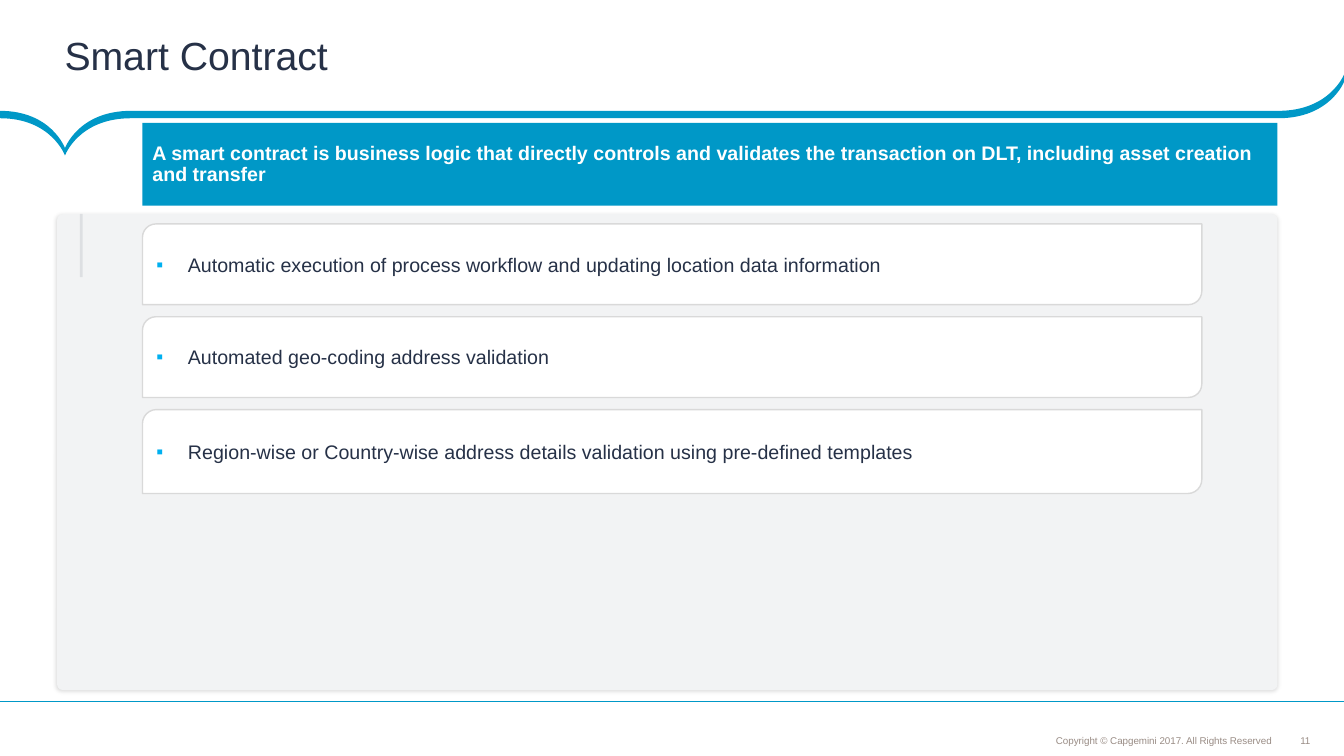
from lxml import etree
from pptx import Presentation
from pptx.dml.color import RGBColor
from pptx.enum.shapes import MSO_CONNECTOR, MSO_SHAPE
from pptx.enum.text import MSO_ANCHOR, PP_ALIGN
from pptx.oxml.ns import qn
from pptx.util import Inches, Pt

RECT = MSO_SHAPE.RECTANGLE
ROUND = MSO_SHAPE.ROUNDED_RECTANGLE
DIAG = MSO_SHAPE.ROUND_2_DIAG_RECTANGLE
LINE = MSO_CONNECTOR.STRAIGHT
MIDDLE, BOTTOM = MSO_ANCHOR.MIDDLE, MSO_ANCHOR.BOTTOM
LEFT, CENTER, RIGHT = PP_ALIGN.LEFT, PP_ALIGN.CENTER, PP_ALIGN.RIGHT

BLUE = RGBColor(0x00, 0x98, 0xC7)
NAVY = RGBColor(0x26, 0x31, 0x47)
WHITE = RGBColor(0xFF, 0xFF, 0xFF)
PALE = RGBColor(0xF2, 0xF3, 0xF4)
EDGE = RGBColor(0xD9, 0xD9, 0xD9)
TAUPE = RGBColor(0x99, 0x8C, 0x85)
CYAN = RGBColor(0x00, 0xB0, 0xF0)

deck = Presentation()
deck.slide_width, deck.slide_height = Inches(13.33), Inches(7.5)
COL, ROW = deck.slide_width / 100, deck.slide_height / 100
INDENT = Pt(22.5)
slide = deck.slides.add_slide(deck.slide_layouts[5])
shapes = slide.shapes
tree = shapes._spTree


def grid(*cells):
    return [int(n * (ROW if i % 2 else COL)) for i, n in enumerate(cells)]


def write(frame, text, size, color, align=LEFT, anchor=MIDDLE, bold=False):
    frame.word_wrap = True
    frame.vertical_anchor = anchor
    para = frame.paragraphs[0]
    para.alignment = align
    run = para.add_run()
    run.text = text
    font = run.font
    font.name, font.size, font.bold = "Arial", Pt(size), bold
    font.color.rgb = color
    return para


notes = [
    ("11", (96.67, 97.2, 0.9, 1.6), CENTER, MIDDLE, 0),
    ("Copyright © Capgemini 2017. All Rights Reserved",
     (68.06, 96.6, 26.86, 2.67), RIGHT, BOTTOM, 0.04),
]
for text, place, align, anchor, inset in notes:
    frame = shapes.add_textbox(*grid(*place)).text_frame
    frame.margin_left = frame.margin_right = Inches(inset)
    frame.margin_top = frame.margin_bottom = Inches(inset)
    para = write(frame, text, 7, TAUPE, align, anchor)
    para.line_spacing = 0.9 if inset else 1.0
    frame.word_wrap = inset > 0

DIP, THICK = 4.84, 0.98
upper = [
    (0, 14.67), (3.83, 14.67), (DIP, 19.6), (DIP, 19.6),
    (DIP, 19.6), (5.85, 14.67), (9.75, 14.67),
    (9.75, 14.67), (95.12, 14.67), (95.12, 14.67),
    (98.95, 14.67), (100, 9.87), (100, 9.87),
]
lower = [(x, y + THICK) for x, y in reversed(upper)]
points = [grid(*p) for p in upper + lower[:1] * 3 + lower[1:]]
trace = shapes.build_freeform(*points[0])
trace.add_line_segments(points[1:], close=True)
wave = trace.convert_to_shape()
knots = list(wave._element.iter(qn("a:lnTo")))
for i in range(0, len(knots), 3):
    bend = etree.Element(qn("a:cubicBezTo"))
    knots[i].addprevious(bend)
    for knot in knots[i:i + 3]:
        bend.append(knot[0])
        knot.getparent().remove(knot)
wave.shadow.inherit = False
wave.fill.solid()
wave.fill.fore_color.rgb = BLUE
wave.line.fill.background()

rules = []
for ends, color, width, alpha in [
    ((100, 92.8, 0, 92.8), BLUE, 0.75, 100),
    ((6.04, 28.3, 6.04, 36.67), NAVY, 2, 10),
]:
    rule = shapes.add_connector(LINE, *grid(*ends))
    rule.line.color.rgb = color
    rule.line.width = Pt(width)
    props = rule._element.spPr
    if alpha < 100:
        tint = props.find(".//" + qn("a:srgbClr"))
        etree.SubElement(tint, qn("a:alpha"), val=str(alpha * 1000))
    etree.SubElement(props, qn("a:effectLst"))
    rules.append(rule)
foot, tick = rules

title = shapes.title
title.left, title.top, title.width, title.height = grid(0, 0, 100, 14.5)
frame = title.text_frame
frame.margin_left, frame.margin_right = Inches(0.33), Inches(0.18)
frame.margin_top = frame.margin_bottom = Inches(0.04)
para = write(frame, "Smart Contract", 28, NAVY)
para._p.get_or_add_pPr().set("marL", str(Inches(0.31)))
tree.append(title._element)

boxes = [
    (RECT, (10.6, 16.27, 84.45, 10.93), BLUE, None),
    (ROUND, (4.25, 28.33, 90.8, 62.95), PALE, None),
]
TOP, PITCH = 29.62, 12.28
for i, high in enumerate((10.67, 10.67, 11.1)):
    boxes.append((DIAG, (10.6, TOP + i * PITCH, 78.82, high), WHITE, EDGE))
made = []
for kind, place, fill, edge in boxes:
    box = shapes.add_shape(kind, *grid(*place))
    box.shadow.inherit = False
    box.fill.solid()
    box.fill.fore_color.rgb = fill
    if edge is None:
        box.line.fill.background()
    else:
        box.line.color.rgb = edge
        box.line.width = Pt(1)
    made.append(box)
head, panel, *cards = made

para = write(
    head.text_frame,
    "A smart contract is business logic that directly controls and validates "
    "the transaction on DLT, including asset creation and transfer",
    14, WHITE, bold=True)
para.line_spacing = 0.9
para.space_after = Pt(18)

panel.adjustments[0] = 0.012
glow = etree.SubElement(
    panel._element.spPr.find(qn("a:effectLst")), qn("a:outerShdw"),
    blurRad=str(Pt(3)), dist=str(Pt(1)), dir="5400000", algn="t", rotWithShape="0")
shade = etree.SubElement(glow, qn("a:srgbClr"), val="000000")
etree.SubElement(shade, qn("a:alpha"), val="15000")
shapes.add_group_shape([panel, tick])

items = [
    "Automatic execution of process workflow and updating location data information",
    "Automated geo-coding address validation",
    "Region-wise or Country-wise address details validation using pre-defined templates",
]
for card, item in reversed(list(zip(cards, items))):
    para = write(card.text_frame, item, 14, NAVY)
    props = para._p.get_or_add_pPr()
    props.set("marL", str(INDENT))
    props.set("indent", str(-INDENT))
    tint = etree.SubElement(props, qn("a:buClr"))
    etree.SubElement(tint, qn("a:srgbClr"), val=str(CYAN))
    etree.SubElement(props, qn("a:buFont"), typeface="Arial")
    etree.SubElement(props, qn("a:buChar"), char="▪")
    tree.append(card._element)

deck.save("out.pptx")
